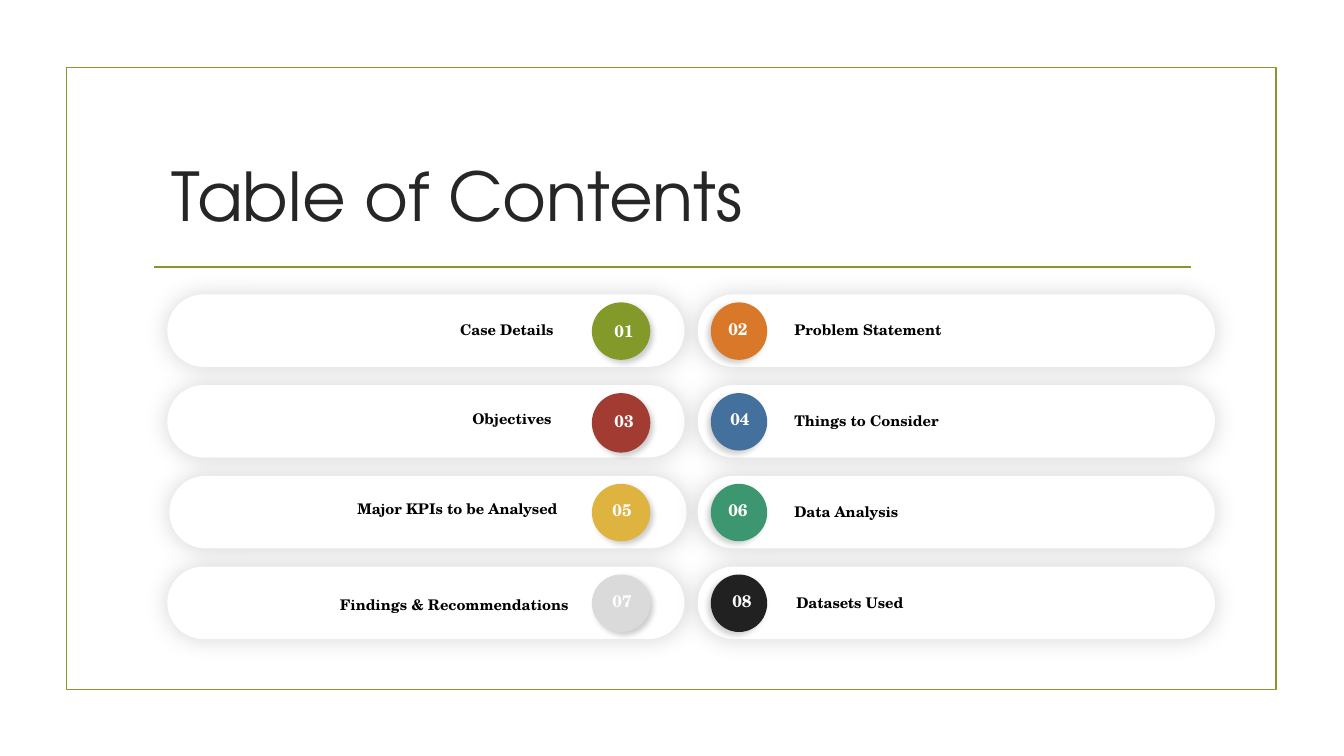
from lxml import etree
from pptx import Presentation
from pptx.dml.color import RGBColor
from pptx.enum.shapes import MSO_CONNECTOR, MSO_SHAPE as SHAPE
from pptx.enum.text import MSO_ANCHOR as ANCHOR, MSO_AUTO_SIZE as AUTO, PP_ALIGN as ALIGN
from pptx.oxml import parse_xml
from pptx.oxml.ns import nsdecls, qn
from pptx.util import Inches, Pt

HEAD_FONT, BODY_FONT = "TeX Gyre Adventor", "TeX Gyre Schola"
GREEN = RGBColor(0x83, 0x99, 0x2A)
ORANGE = RGBColor(0xD9, 0x78, 0x28)
RED = RGBColor(0xA2, 0x3C, 0x33)
BLUE = RGBColor(0x44, 0x70, 0x9D)
YELLOW = RGBColor(0xDE, 0xB3, 0x40)
TEAL = RGBColor(0x3C, 0x97, 0x70)
GREY = RGBColor(0xDA, 0xDA, 0xDA)
CHARCOAL = RGBColor(0x21, 0x21, 0x21)
INK = RGBColor(0x26, 0x26, 0x26)
BLACK = RGBColor(0, 0, 0)
WHITE = RGBColor(0xFF, 0xFF, 0xFF)

TITLE = "Table of Contents"
# label, colour, pill left, label (left, top), number (centre, top); tops count from the row
ENTRIES = [
    ("Case Details", GREEN, 1.66, (2.73, 0.21), (6.19, 0.21)),
    ("Problem Statement", ORANGE, 6.92, (7.78, 0.21), (7.32, 0.19)),
    ("Objectives", RED, 1.66, (2.71, 0.2), (6.19, 0.21)),
    ("Things to Consider", BLUE, 6.92, (7.78, 0.22), (7.34, 0.19)),
    ("Major KPIs to be Analysed", YELLOW, 1.68, (2.77, 0.19), (6.17, 0.19)),
    ("Data Analysis", TEAL, 6.92, (7.78, 0.22), (7.32, 0.19)),
    ("Findings & Recommendations", GREY, 1.66, (2.88, 0.24), (6.17, 0.19)),
    ("Datasets Used", CHARCOAL, 6.92, (7.8, 0.22), (7.36, 0.19)),
]
FIRST_ROW, ROW_STEP = 2.92, 0.9
PILL_W, PILL_H = 5.13, 0.72
LABEL_W, NUMBER_W = 2.86, 0.5
# per column: circle left, circle width, label alignment, shadow opacity, shadow angle
COLUMNS = [(5.87, 0.58, ALIGN.RIGHT, 20, 45), (7.05, 0.56, ALIGN.LEFT, 18, 135)]


def set_shadow(sp, opacity, blur, dist, angle):
    """Give the shape a black outer shadow (percent, points, points, degrees)."""
    sp.shadow.inherit = False
    effects = sp._element.spPr.find(qn("a:effectLst"))
    effects.append(parse_xml(
        f'<a:outerShdw {nsdecls("a")} blurRad="{Pt(blur)}" dist="{Pt(dist)}" '
        f'dir="{angle * 60000}" algn="ctr" rotWithShape="0"><a:srgbClr val="000000">'
        f'<a:alpha val="{opacity * 1000}"/></a:srgbClr></a:outerShdw>'))


def add_filled(slide, kind, box, color, shadow):
    sp = slide.shapes.add_shape(kind, *map(Inches, box))
    sp.fill.solid()
    sp.fill.fore_color.rgb = color
    sp.line.fill.background()
    set_shadow(sp, *shadow)
    return sp


def style(p, text, font, size, color, align, bold=False):
    p.text = text
    p.alignment = align
    p.font.name, p.font.size, p.font.bold = font, Pt(size), bold
    p.font.color.rgb = color


def add_text(slide, box, text, size, color, align):
    tf = slide.shapes.add_textbox(*map(Inches, box)).text_frame
    tf.word_wrap = True
    tf.auto_size = AUTO.SHAPE_TO_FIT_TEXT
    style(tf.paragraphs[0], text, BODY_FONT, size, color, align, True)


def add_frame(slide):
    frame = slide.shapes.add_shape(SHAPE.RECTANGLE, *map(Inches, (0.66, 0.67, 12, 6.17)))
    frame.fill.background()
    frame.shadow.inherit = False
    rule = slide.shapes.add_connector(
        MSO_CONNECTOR.STRAIGHT, *map(Inches, (1.53, 2.65, 11.81, 2.65)))
    etree.SubElement(rule._element.spPr, qn("a:effectLst"))
    for sp in (frame, rule):
        sp.line.color.rgb = GREEN
        sp.line.width = Pt(1.25)


def add_title(slide):
    title = slide.shapes.title
    title.left, title.top, title.width, title.height = map(Inches, (1.53, 1.46, 6.01, 0.94))
    tf = title.text_frame
    tf.auto_size = AUTO.NONE
    tf.vertical_anchor = ANCHOR.MIDDLE
    style(tf.paragraphs[0], TITLE, HEAD_FONT, 48, INK, ALIGN.CENTER)


def add_entry(slide, i, label, color, pill_x, label_at, number_at):
    row, col = divmod(i, 2)
    y = FIRST_ROW + row * ROW_STEP
    circle_x, circle_w, align, opacity, angle = COLUMNS[col]
    pill = add_filled(slide, SHAPE.ROUNDED_RECTANGLE, (pill_x, y, PILL_W, PILL_H),
                      WHITE, (16, 17, 0, 0))
    pill.adjustments[0] = 0.5
    add_text(slide, (label_at[0], y + label_at[1], LABEL_W, 0.28), label, 10.5, BLACK, align)
    circle_h = 0.59 if color == RED else 0.57
    add_filled(slide, SHAPE.OVAL, (circle_x, y + 0.08, circle_w, circle_h),
               color, (opacity, 4, 3, angle))
    add_text(slide, (number_at[0] - NUMBER_W / 2, y + number_at[1], NUMBER_W, 0.3),
             f"{i + 1:02}", 12, WHITE, ALIGN.CENTER)


def main():
    prs = Presentation()
    prs.slide_width, prs.slide_height = Inches(13.33), Inches(7.5)
    slide = prs.slides.add_slide(prs.slide_layouts[5])
    add_frame(slide)
    add_title(slide)
    # the left column lies behind the right one
    for col in range(2):
        for i in range(col, len(ENTRIES), 2):
            add_entry(slide, i, *ENTRIES[i])
    prs.save("out.pptx")


if __name__ == "__main__":
    main()
